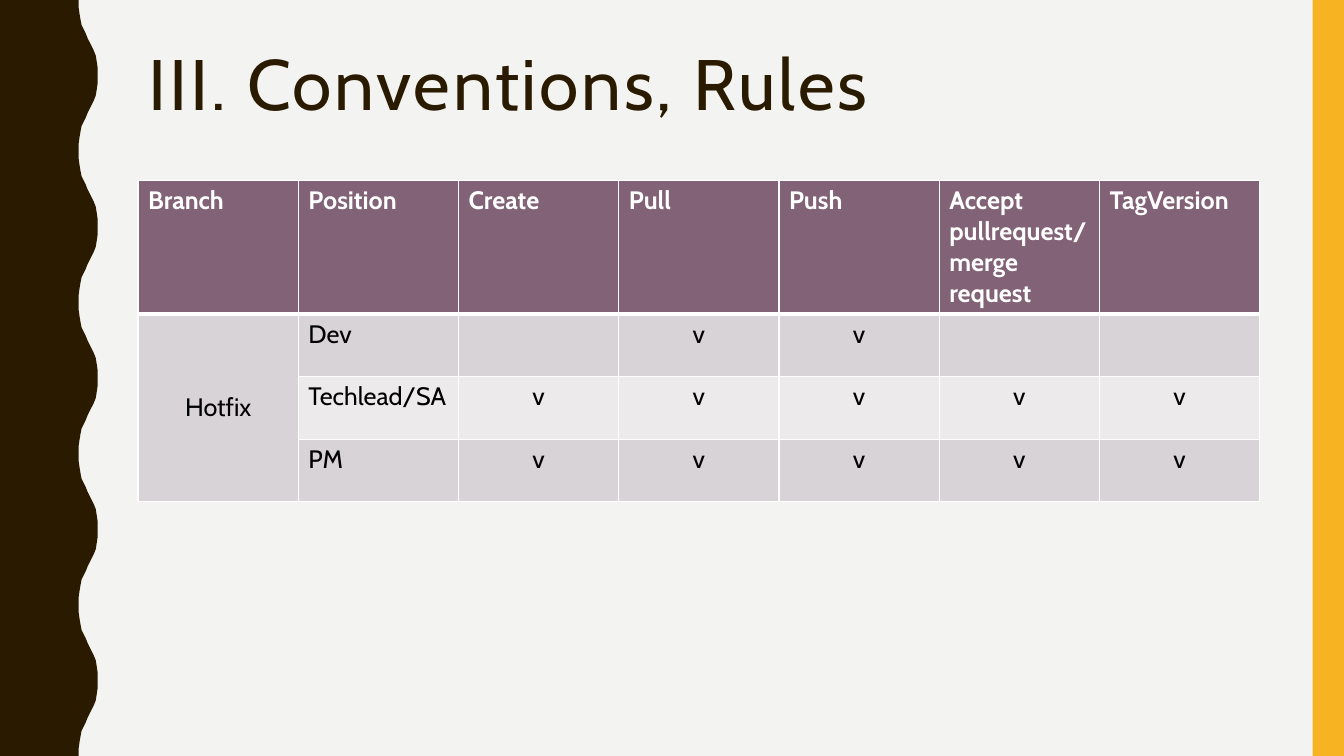
from lxml import etree
from pptx import Presentation
from pptx import util as u
from pptx.dml.color import RGBColor
from pptx.enum import shapes, text
from pptx.oxml import ns

BROWN = RGBColor(0x2A, 0x1A, 0x00)
GOLD = RGBColor(0xF8, 0xB3, 0x23)
PAPER = RGBColor(0xF3, 0xF3, 0xF2)
PLUM = RGBColor(0x82, 0x62, 0x76)
DARK = RGBColor(0xD8, 0xD3, 0xD6)
LIGHT = RGBColor(0xED, 0xEA, 0xEC)
WHITE = RGBColor(0xFF, 0xFF, 0xFF)
BLACK = RGBColor(0x00, 0x00, 0x00)

FONT = "Cabin"
WIDE, HIGH = u.Cm(33.87), u.Cm(19.05)
LEFT, SPAN = u.Cm(3.48), u.Cm(28.27)
HEAD, ROW = u.Cm(3.35), u.Cm(1.58)

# Rising half of one wave, in hundredths of an inch: (x, y)
RISE = [(78, 0), (78, 7), (79, 14), (80, 20), (81, 25), (83, 29), (85, 33),
        (87, 38), (89, 42), (91, 46), (93, 50), (95, 55), (96, 61), (97, 68),
        (97, 75)]
PERIOD, WAVES = 150, 5

ROWS = [
    ["Branch", "Position", "Create", "Pull", "Push",
     "Accept pullrequest/merge request", "TagVersion"],
    ["Hotfix", "Dev", "", "v", "v", "", ""],
    ["", "Techlead/SA", "v", "v", "v", "v", "v"],
    ["", "PM", "v", "v", "v", "v", "v"],
]


def write(frame, words, size=18, color=BLACK, bold=False,
          align=text.PP_ALIGN.LEFT, line=None, track=None):
    para = frame.paragraphs[0]
    para.alignment = align
    if line:
        para.line_spacing = line
    run = para.add_run()
    run.text = words
    font = run.font
    font.name, font.size, font.bold = FONT, u.Pt(size), bold
    font.color.rgb = color
    if track:
        run._r.get_or_add_rPr().set("spc", str(track * 100))


def paint(shape, color):
    shape.fill.solid()
    shape.fill.fore_color.rgb = color
    shape.line.fill.background()
    shape.shadow.inherit = False


def add_wave(slide):
    """Draw the left band with its wavy right edge."""
    fall = [(x, PERIOD - y) for x, y in reversed(RISE[:-1])]
    edge = [(x, y + PERIOD * n) for n in range(WAVES) for x, y in RISE + fall]
    pen = slide.shapes.build_freeform(0, 0, scale=u.Cm(2.54) / 100)
    pen.add_line_segments(edge + [(0, PERIOD * WAVES)], close=True)
    paint(pen.convert_to_shape(), BROWN)


def add_bar(slide):
    wide = u.Cm(0.79)
    bar = slide.shapes.add_shape(shapes.MSO_SHAPE.RECTANGLE,
                                 WIDE - wide, 0, wide, HIGH)
    paint(bar, GOLD)


def add_title(slide, words):
    title = slide.shapes.title
    title.left, title.top = LEFT, u.Cm(1.07)
    title.width, title.height = SPAN, u.Cm(2.29)
    frame = title.text_frame
    frame.word_wrap = True
    frame.auto_size = text.MSO_AUTO_SIZE.NONE
    frame.vertical_anchor = text.MSO_ANCHOR.MIDDLE
    write(frame, words, size=51, color=BROWN, line=0.9, track=2)


def edge_cell(cell, **sides):
    """Give the cell white borders; each side maps to a width in points."""
    props = cell._tc.get_or_add_tcPr()
    for side in ("L", "R", "T", "B"):
        line = etree.SubElement(props, ns.qn("a:ln" + side),
                                w=str(u.Pt(sides.get(side, 1))))
        fill = etree.SubElement(line, ns.qn("a:solidFill"))
        etree.SubElement(fill, ns.qn("a:srgbClr"), val=str(WHITE))


def fill_cell(cell, words, row, col):
    head = row == 0
    edge_cell(cell, T=3 if row == 1 else 1, B=3 if head else 1)
    cell.fill.solid()
    shade = DARK if row % 2 or col == 0 else LIGHT
    cell.fill.fore_color.rgb = PLUM if head else shade
    if words:
        left = head or col == 1
        write(cell.text_frame, words, bold=head,
              color=WHITE if head else BLACK,
              align=text.PP_ALIGN.LEFT if left else text.PP_ALIGN.CENTER)


def add_grid(slide):
    count = len(ROWS[0])
    high = HEAD + ROW * (len(ROWS) - 1)
    grid = slide.shapes.add_table(len(ROWS), count, LEFT, u.Cm(4.55),
                                  SPAN, high).table
    for col in grid.columns:
        col.width = SPAN // count
    for r, words in enumerate(ROWS):
        grid.rows[r].height = ROW if r else HEAD
        for c, word in enumerate(words):
            fill_cell(grid.cell(r, c), word, r, c)
    branch = grid.cell(1, 0)
    branch.merge(grid.cell(len(ROWS) - 1, 0))
    branch.vertical_anchor = text.MSO_ANCHOR.MIDDLE


def main():
    deck = Presentation()
    deck.slide_width, deck.slide_height = WIDE, HIGH
    slide = deck.slides.add_slide(deck.slide_layouts[5])
    slide.background.fill.solid()
    slide.background.fill.fore_color.rgb = PAPER
    add_wave(slide)
    add_bar(slide)
    add_title(slide, "III. Conventions, Rules")
    add_grid(slide)
    deck.save("out.pptx")


if __name__ == "__main__":
    main()
